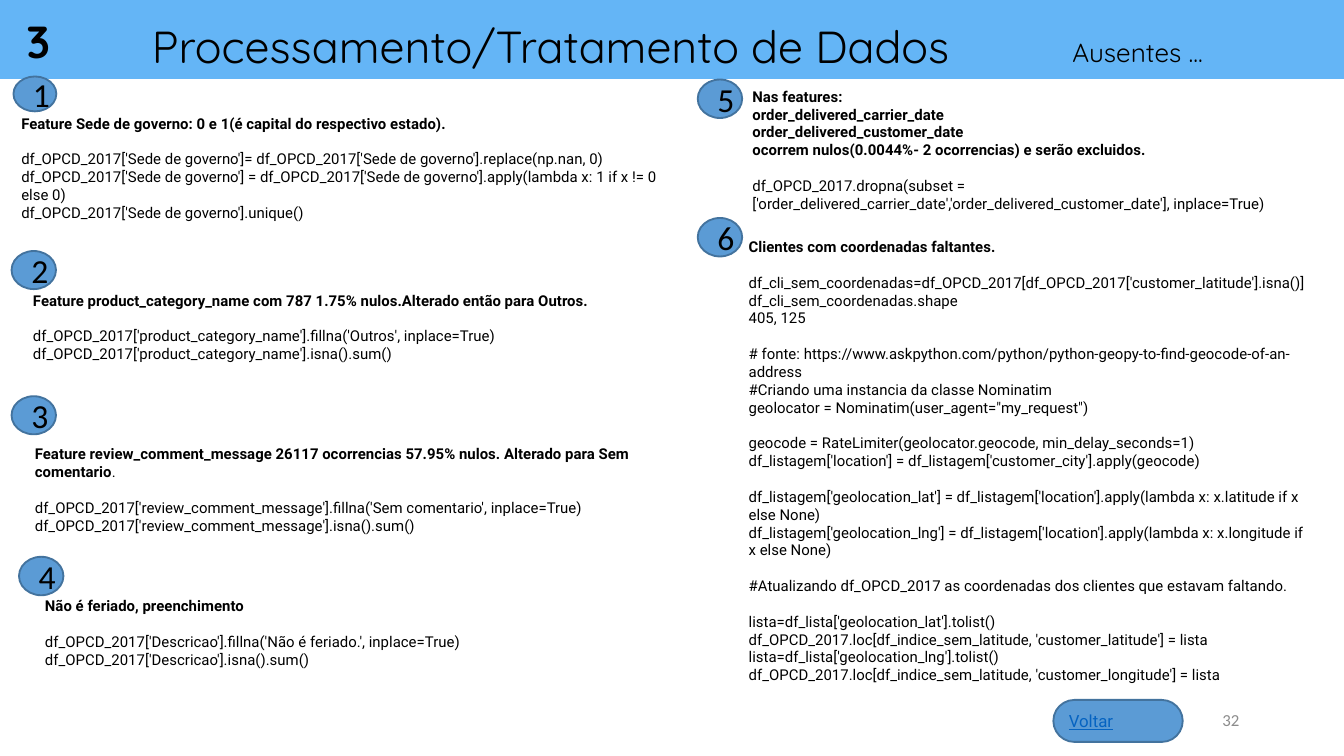
from pptx import Presentation
from pptx.dml.color import RGBColor
from pptx.enum import shapes, text
from pptx.util import Pt

SKY = RGBColor(0x64, 0xB5, 0xF6)
BLUE = RGBColor(0x5B, 0x9B, 0xD5)
NAVY = RGBColor(0x43, 0x73, 0x9E)
LINK = RGBColor(0x05, 0x63, 0xC1)
GRAY = RGBColor(0x8C, 0x8C, 0x8C)
BLACK = RGBColor(0, 0, 0)

# Number, badge place, text place, blocks of lines; the first block is the heading.
SECTIONS = [
    (1, (7.2, 41, 23, 18.7), (4.3, 57.6, 368.6, 65.5), [
        ["Feature Sede de governo: 0 e 1(é capital do respectivo estado)."],
        ["df_OPCD_2017['Sede de governo']= df_OPCD_2017['Sede de governo'].replace(np.nan, 0)",
         "df_OPCD_2017['Sede de governo'] = df_OPCD_2017['Sede de governo']"
         ".apply(lambda x: 1 if x != 0  else 0)",
         "df_OPCD_2017['Sede de governo'].unique()"],
    ]),
    (2, (6.2, 134.5, 23.8, 20.4), (10.6, 152.6, 357.8, 46), [
        ["Feature product_category_name com 787 1.75% nulos.Alterado então para Outros."],
        ["df_OPCD_2017['product_category_name'].fillna('Outros', inplace=True)",
         "df_OPCD_2017['product_category_name'].isna().sum()"],
    ]),
    (3, (6.2, 212.3, 23.8, 20.4), (11.6, 234.7, 378, 46), [
        [("Feature review_comment_message 26117 ocorrencias 57.95% nulos. "
          "Alterado para Sem comentario", ".")],
        ["df_OPCD_2017['review_comment_message'].fillna('Sem comentario', inplace=True)",
         "df_OPCD_2017['review_comment_message'].isna().sum()"],
    ]),
    (4, (10.2, 298.3, 23.8, 20.6), (17, 316.1, 360, 46), [
        ["Não é feriado, preenchimento"],
        ["df_OPCD_2017['Descricao'].fillna('Não é feriado.', inplace=True)",
         "df_OPCD_2017['Descricao'].isna().sum()"],
    ]),
    (6, (373.8, 116.8, 23.8, 20.6), (394, 123.8, 315.4, 249.8), [
        ["Clientes com coordenadas faltantes."],
        ["df_cli_sem_coordenadas=df_OPCD_2017[df_OPCD_2017['customer_latitude'].isna()]",
         "df_cli_sem_coordenadas.shape",
         "405, 125"],
        ["# fonte: https://www.askpython.com/python/python-geopy-to-find-geocode-of-an-address",
         "#Criando uma instancia da classe Nominatim",
         'geolocator = Nominatim(user_agent="my_request")'],
        ["geocode = RateLimiter(geolocator.geocode, min_delay_seconds=1)",
         "df_listagem['location'] = df_listagem['customer_city'].apply(geocode)"],
        ["df_listagem['geolocation_lat'] = df_listagem['location']"
         ".apply(lambda x: x.latitude if x else None)",
         "df_listagem['geolocation_lng'] = df_listagem['location']"
         ".apply(lambda x: x.longitude if x else None)"],
        ["#Atualizando df_OPCD_2017 as coordenadas dos clientes que estavam faltando."],
        ["lista=df_lista['geolocation_lat'].tolist()",
         "df_OPCD_2017.loc[df_indice_sem_latitude, 'customer_latitude'] = lista",
         "lista=df_lista['geolocation_lng'].tolist()",
         "df_OPCD_2017.loc[df_indice_sem_latitude, 'customer_longitude'] = lista"],
    ]),
    (5, (373.8, 42.6, 23.8, 20.6), (396, 43.2, 324, 74.9), [
        ["Nas features:",
         "order_delivered_carrier_date",
         "order_delivered_customer_date",
         "ocorrem nulos(0.0044%- 2 ocorrencias) e serão excluidos."],
        ["df_OPCD_2017.dropna(subset = ['order_delivered_carrier_date',"
         "'order_delivered_customer_date'], inplace=True)"],
    ]),
]


def add_span(para, words, font="Roboto", size=8, color=BLACK, bold=False,
             underline=False, align=text.PP_ALIGN.LEFT):
    para.alignment = align
    span = para.add_run()
    span.text = words
    span.font.name = font
    span.font.size = Pt(size)
    span.font.color.rgb = color
    span.font.bold = bold
    span.font.underline = underline


class SlideBuilder:
    heading_font = "Quicksand"
    number_font = "Calibri"
    block_gap = 9.5

    def __init__(self, deck):
        self.page = deck.slides.add_slide(deck.slide_layouts[5])

    def title(self, place, words):
        box = self.page.shapes.title
        box.left, box.top, box.width, box.height = map(Pt, place)
        frame = box.text_frame
        frame.word_wrap = True
        frame.auto_size = text.MSO_AUTO_SIZE.NONE
        frame.vertical_anchor = text.MSO_ANCHOR.MIDDLE
        add_span(frame.paragraphs[0], words, font=self.heading_font, size=24)

    def shape(self, kind, place, fill, line=None):
        shape = self.page.shapes.add_shape(kind, *map(Pt, place))
        shape.shadow.inherit = False
        shape.fill.solid()
        shape.fill.fore_color.rgb = fill
        if line is None:
            shape.line.fill.background()
        else:
            shape.line.color.rgb = line
            shape.line.width = Pt(1)
        shape.text_frame.vertical_anchor = text.MSO_ANCHOR.MIDDLE
        return shape

    def band(self, place):
        """Draw the header band behind the title."""
        band = self.shape(shapes.MSO_SHAPE.RECTANGLE, place, SKY)
        self.page.shapes.title.element.addprevious(band.element)

    def textbox(self, place, wrap=True, anchor=text.MSO_ANCHOR.TOP):
        box = self.page.shapes.add_textbox(*map(Pt, place))
        box.text_frame.word_wrap = wrap
        box.text_frame.vertical_anchor = anchor
        return box

    def label(self, place, words, wrap=True, anchor=text.MSO_ANCHOR.TOP, **style):
        box = self.textbox(place, wrap, anchor)
        add_span(box.text_frame.paragraphs[0], words, **style)

    def button(self, place, words):
        button = self.shape(shapes.MSO_SHAPE.ROUND_2_SAME_RECTANGLE, place, BLUE, NAVY)
        button.adjustments[0] = button.adjustments[1] = 0.5
        frame = button.text_frame
        frame.margin_left = frame.margin_right = Pt(5)
        frame.margin_top = frame.margin_bottom = Pt(2.9)
        add_span(frame.paragraphs[0], words, size=9, color=LINK, underline=True)

    def badge(self, place, number):
        badge = self.shape(shapes.MSO_SHAPE.OVAL, place, BLUE, NAVY)
        add_span(badge.text_frame.paragraphs[0], str(number), font=self.number_font,
                 size=18, align=text.PP_ALIGN.CENTER)
        return badge

    def section(self, number, badge_place, text_place, blocks):
        """Group a numbered badge with its heading and code; a pair ends in plain type."""
        box = self.textbox(text_place)
        para = box.text_frame.paragraphs[0]
        for block_index, block in enumerate(blocks):
            for line_index, line in enumerate(block):
                if block_index or line_index:
                    para = box.text_frame.add_paragraph()
                if block_index and not line_index:
                    para.space_before = Pt(self.block_gap)
                words, tail = line if isinstance(line, tuple) else (line, "")
                add_span(para, words, bold=block_index == 0)
                if tail:
                    add_span(para, tail)
        self.page.shapes.add_group_shape([box, self.badge(badge_place, number)])


def main():
    deck = Presentation()
    deck.slide_width, deck.slide_height = Pt(720), Pt(405)
    slide = SlideBuilder(deck)
    slide.title((74.2, 6.5, 445.7, 36), "Processamento/Tratamento de Dados")
    slide.band((0, 0, 720, 42.3))
    slide.label((639.4, 375, 31.7, 21.6), "32", anchor=text.MSO_ANCHOR.MIDDLE,
                font=slide.number_font, size=9, color=GRAY, align=text.PP_ALIGN.RIGHT)
    slide.button((564.3, 375, 69.3, 22.5), "Voltar")
    slide.label((7.2, 3.6, 31, 36), "3", wrap=False, font=slide.heading_font,
                size=24, bold=True)
    slide.label((567.4, 15.8, 143.3, 24.5), "Ausentes ...", font=slide.heading_font, size=14)
    for section in SECTIONS:
        slide.section(*section)
    deck.save("out.pptx")


if __name__ == "__main__":
    main()
